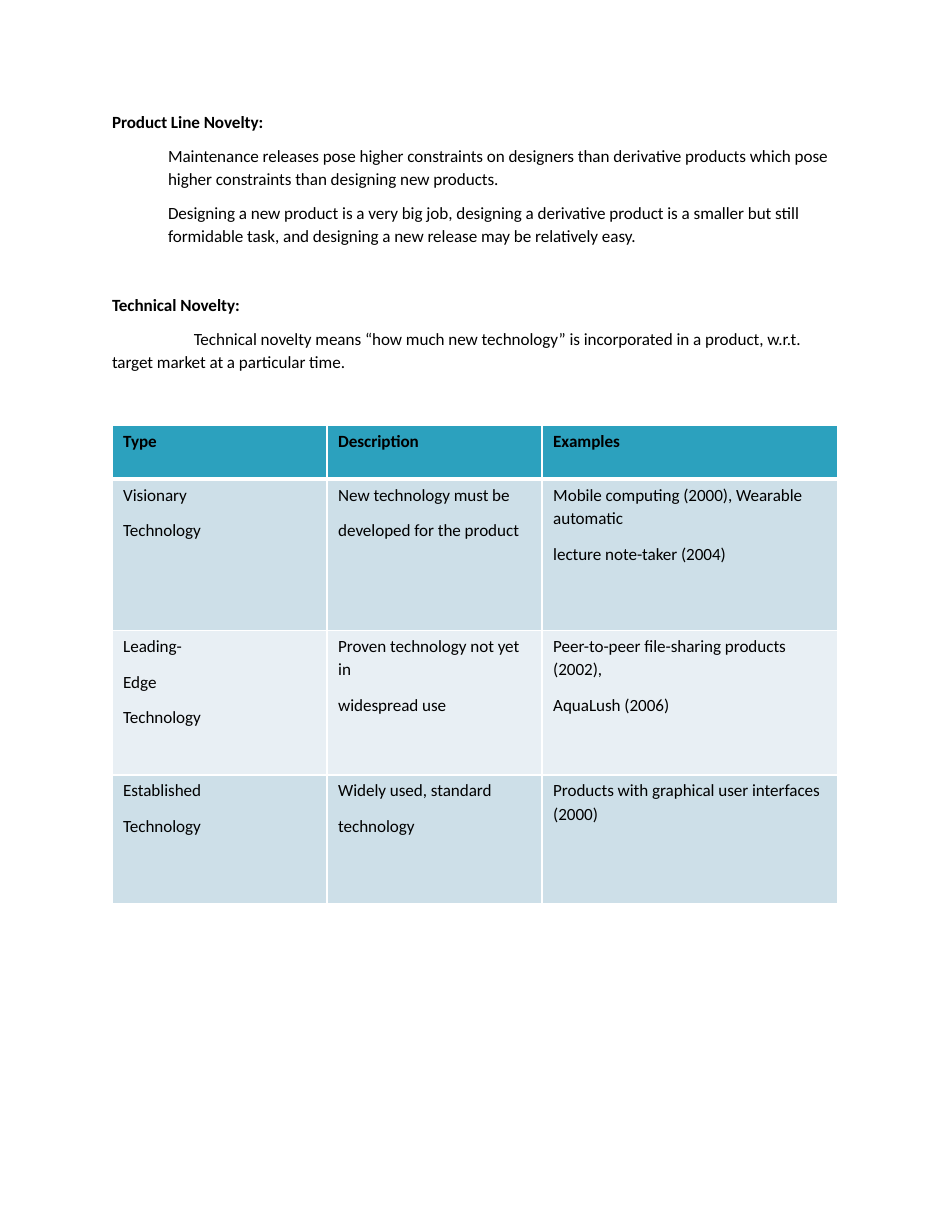
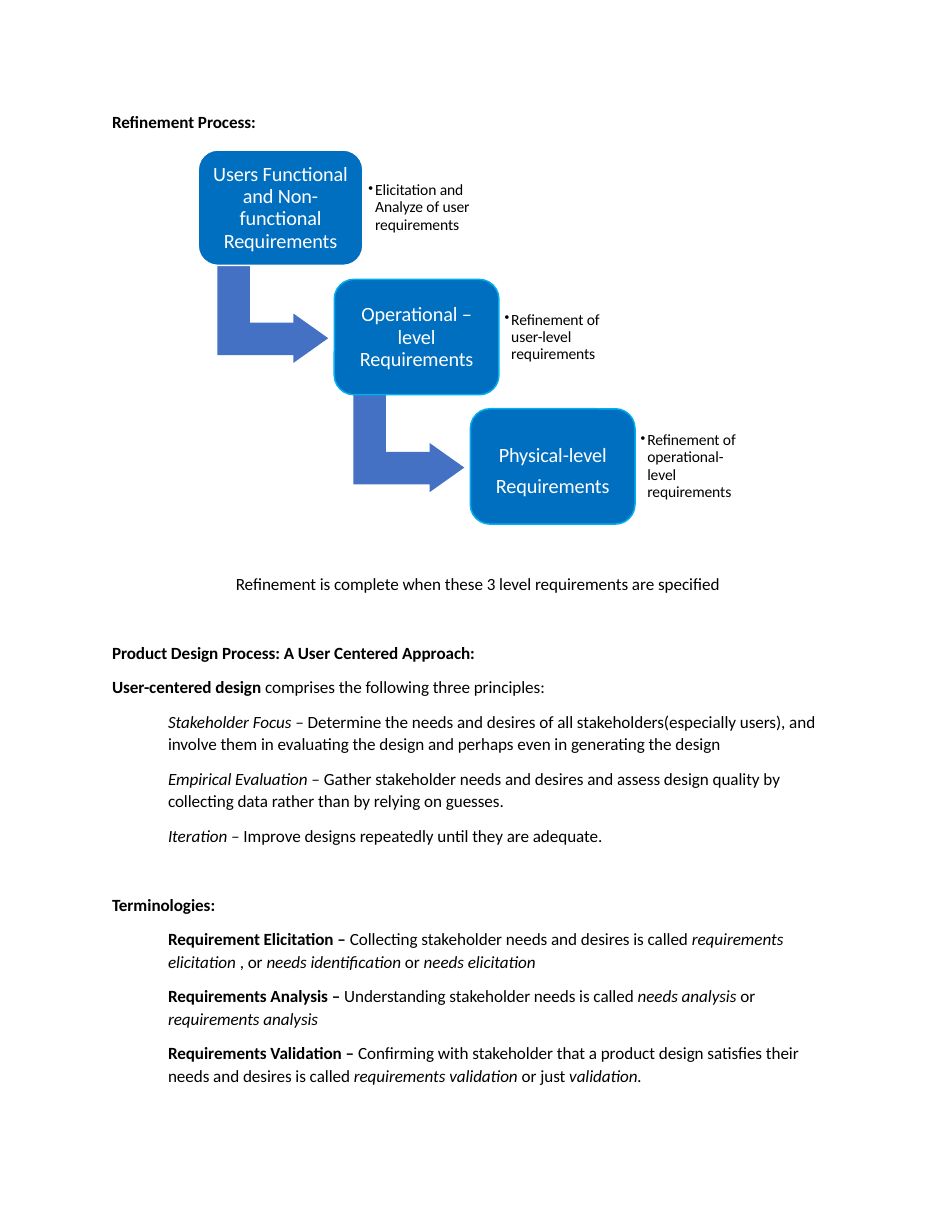
from dataclasses import dataclass
from typing import NamedTuple

from lxml import etree
from pptx import Presentation
from pptx.dml.color import RGBColor
from pptx.enum.shapes import MSO_SHAPE
from pptx.enum.text import MSO_ANCHOR, PP_ALIGN
from pptx.oxml.ns import qn
from pptx.util import Inches, Pt

ROUNDED = MSO_SHAPE.ROUNDED_RECTANGLE
TOP, MIDDLE = MSO_ANCHOR.TOP, MSO_ANCHOR.MIDDLE
LEFT, CENTER = PP_ALIGN.LEFT, PP_ALIGN.CENTER
TITLE_ONLY = 5


@dataclass(frozen=True)
class Theme:
    font: str = "Calibri"
    body_size: float = 11
    step_size: float = 13
    note_size: float = 10
    tracking: str = "-5"
    leading: float = 1.1
    paragraph_gap: float = 7.6
    section_gap: float = 30
    ink: str = "000000"
    white: str = "FFFFFF"
    header_fill: str = "2CA1BE"
    row_fills: tuple[str, str] = ("CDDFE8", "E8EFF4")
    step_fill: str = "006FC0"
    step_edge: str = "00AFEF"
    arrow_fill: str = "4471C4"


THEME = Theme()


class Span(NamedTuple):
    text: str
    bold: bool = False
    italic: bool = False


def bold(text: str) -> Span:
    return Span(text, bold=True)


def italic(text: str) -> Span:
    return Span(text, italic=True)


class Passage(NamedTuple):
    spans: tuple[Span, ...]
    left: float = 0.5
    first_line: float = 0
    gap: float = THEME.paragraph_gap
    align: PP_ALIGN = LEFT


class Step(NamedTuple):
    label: str
    note: str
    edge: str = THEME.step_edge
    leading: float = 14.3


def heading(text: str) -> Passage:
    return Passage((bold(text),), left=0, gap=THEME.section_gap)


NOVELTY = (
    Passage((Span("Maintenance releases pose higher constraints on designers than derivative "
                  "products which pose higher constraints than designing new products."),)),
    Passage((Span("Designing a new product is a very big job, designing a derivative product is "
                  "a smaller but still formidable task, and designing a new release may be "
                  "relatively easy."),)),
    heading("Technical Novelty:"),
    Passage((Span("Technical novelty means “how much new technology” is incorporated in a "
                  "product, w.r.t. target market at a particular time."),),
            left=0, first_line=0.73),
)

TECHNOLOGY_COLUMNS = (1.92, 1.92, 2.64)
TECHNOLOGY_HEIGHTS = (0.48, 1.35, 1.29, 1.15)
TECHNOLOGY_ROWS = (
    ("Type", "Description", "Examples"),
    ("Visionary\nTechnology",
     "New technology must be\ndeveloped for the product",
     "Mobile computing (2000), Wearable automatic\nlecture note-taker (2004)"),
    ("Leading-\nEdge\nTechnology",
     "Proven technology not yet in\nwidespread use",
     "Peer-to-peer file-sharing products (2002),\nAquaLush (2006)"),
    ("Established\nTechnology",
     "Widely used, standard\ntechnology",
     "Products with graphical user interfaces (2000)"),
)

STEPS = (
    Step("Users Functional\vand Non-\vfunctional\vRequirements",
         "Elicitation and\vAnalyze of user\vrequirements", edge=THEME.white),
    Step("Operational –\vlevel\vRequirements",
         "Refinement of\vuser-level\vrequirements"),
    Step("Physical-level\vRequirements",
         "Refinement of\voperational-\vlevel\vrequirements", leading=20),
)
STEP_LEFT, STEP_TOP = 1.77, 1.34
STEP_WIDTH, STEP_HEIGHT = 1.47, 1.03
STEP_SHIFT, STEP_DROP = 1.215, 1.155
# Offsets from the lower left corner of a step box
ELBOW = ((0.17, 0), (0.17, 0.8), (0.85, 0.8), (0.85, 0.87), (1.16, 0.65),
         (0.85, 0.43), (0.85, 0.51), (0.46, 0.51), (0.46, 0))

DESIGN_PROCESS = (
    Passage((Span("Refinement is complete when these 3 level requirements are specified"),),
            left=0.14, align=CENTER),
    heading("Product Design Process: A User Centered Approach:"),
    Passage((bold("User-centered design "),
             Span("comprises the following three principles:")), left=0),
    Passage((italic("Stakeholder Focus – "),
             Span("Determine the needs and desires of all stakeholders(especially users), and "
                  "involve them in evaluating the design and perhaps even in generating the "
                  "design"))),
    Passage((italic("Empirical Evaluation – "),
             Span("Gather stakeholder needs and desires and assess design quality by "
                  "collecting data rather than by relying on guesses."))),
    Passage((italic("Iteration – "),
             Span("Improve designs repeatedly until they are adequate."))),
    heading("Terminologies:"),
    Passage((bold("Requirement Elicitation – "),
             Span("Collecting stakeholder needs and desires is called "),
             italic("requirements elicitation "), Span(", or "),
             italic("needs identification "), Span("or "), italic("needs elicitation"))),
    Passage((bold("Requirements Analysis – "),
             Span("Understanding stakeholder needs is called "),
             italic("needs analysis "), Span("or "), italic("requirements analysis"))),
    Passage((bold("Requirements Validation – "),
             Span("Confirming with stakeholder that a product design satisfies their needs "
                  "and desires is called "),
             italic("requirements validation "), Span("or just "), italic("validation."))),
)


def format_run(run, size: float = THEME.body_size, color: str = THEME.ink,
               is_bold: bool = False, is_italic: bool = False) -> None:
    font = run.font
    font.name, font.size = THEME.font, Pt(size)
    font.bold, font.italic = is_bold, is_italic
    font.color.rgb = RGBColor.from_string(color)
    run._r.get_or_add_rPr().set("spc", THEME.tracking)


def prepare_frame(frame, anchor=TOP) -> None:
    frame.word_wrap = True
    frame.vertical_anchor = anchor
    frame.margin_left = frame.margin_top = frame.margin_right = frame.margin_bottom = 0


def indent(paragraph, left: float, first_line: float) -> None:
    properties = paragraph._p.get_or_add_pPr()
    properties.set("marL", str(Inches(left)))
    properties.set("indent", str(Inches(first_line)))


def add_frame(slide, left: float, top: float, width: float, height: float, anchor=TOP):
    box = slide.shapes.add_textbox(Inches(left), Inches(top), Inches(width), Inches(height))
    prepare_frame(box.text_frame, anchor)
    return box.text_frame


def add_titled_slide(deck, title: str):
    slide = deck.slides.add_slide(deck.slide_layouts[TITLE_ONLY])
    placeholder = slide.shapes.title
    placeholder.left, placeholder.top = Inches(1), Inches(0.99)
    placeholder.width, placeholder.height = Inches(6.49), Inches(0.2)
    frame = placeholder.text_frame
    frame.text = title
    prepare_frame(frame)
    paragraph = frame.paragraphs[0]
    paragraph.alignment, paragraph.line_spacing = LEFT, 1.0
    format_run(paragraph.runs[0], is_bold=True)
    return slide


def add_passages(slide, passages: tuple[Passage, ...], top: float,
                 width: float, height: float) -> None:
    frame = add_frame(slide, 1, top, width, height)
    for number, passage in enumerate(passages):
        paragraph = frame.add_paragraph() if number else frame.paragraphs[0]
        indent(paragraph, passage.left, passage.first_line)
        paragraph.alignment = passage.align
        paragraph.line_spacing = THEME.leading
        if number:
            paragraph.space_before = Pt(passage.gap)
        for span in passage.spans:
            run = paragraph.add_run()
            run.text = span.text
            format_run(run, is_bold=span.bold, is_italic=span.italic)


def set_borders(cell, top: float, bottom: float) -> None:
    """Draw white borders; widths in points, the sides always one point."""
    properties = cell._tc.get_or_add_tcPr()
    widths = {"a:lnL": 1, "a:lnR": 1, "a:lnT": top, "a:lnB": bottom}
    for position, (tag, width) in enumerate(widths.items()):
        line = etree.Element(qn(tag), w=str(Pt(width)))
        fill = etree.SubElement(line, qn("a:solidFill"))
        etree.SubElement(fill, qn("a:srgbClr"), val=THEME.white)
        properties.insert(position, line)


def add_technology_table(slide) -> None:
    table = slide.shapes.add_table(
        len(TECHNOLOGY_ROWS), len(TECHNOLOGY_COLUMNS), Inches(1), Inches(3.8),
        Inches(sum(TECHNOLOGY_COLUMNS)), Inches(sum(TECHNOLOGY_HEIGHTS))).table
    for column, width in zip(table.columns, TECHNOLOGY_COLUMNS):
        column.width = Inches(width)
    for row, height in zip(table.rows, TECHNOLOGY_HEIGHTS):
        row.height = Inches(height)
    for r, texts in enumerate(TECHNOLOGY_ROWS):
        is_header = r == 0
        color = THEME.header_fill if is_header else THEME.row_fills[(r - 1) % 2]
        for c, text in enumerate(texts):
            cell = table.cell(r, c)
            cell.text_frame.text = text
            cell.margin_left = cell.margin_right = Inches(0.1)
            cell.margin_top, cell.margin_bottom = Inches(0.03), 0
            cell.fill.solid()
            cell.fill.fore_color.rgb = RGBColor.from_string(color)
            set_borders(cell, top=3 if r == 1 else 1, bottom=3 if is_header else 1)
            for number, paragraph in enumerate(cell.text_frame.paragraphs):
                paragraph.line_spacing = THEME.leading
                if number:
                    paragraph.space_before = Pt(8)
                for run in paragraph.runs:
                    format_run(run, is_bold=is_header)


def paint(shape, fill: str) -> None:
    shape.shadow.inherit = False
    shape.fill.solid()
    shape.fill.fore_color.rgb = RGBColor.from_string(fill)


def add_elbow_arrow(slide, left: float, top: float) -> None:
    points = [(Inches(left + x), Inches(top + y)) for x, y in ELBOW]
    builder = slide.shapes.build_freeform(*points[0])
    builder.add_line_segments(points[1:], close=True)
    arrow = builder.convert_to_shape()
    paint(arrow, THEME.arrow_fill)
    arrow.line.fill.background()


def add_step_box(slide, step: Step, left: float, top: float) -> None:
    box = slide.shapes.add_shape(ROUNDED, Inches(left), Inches(top),
                                 Inches(STEP_WIDTH), Inches(STEP_HEIGHT))
    box.adjustments[0] = 0.17
    paint(box, THEME.step_fill)
    box.line.color.rgb = RGBColor.from_string(step.edge)
    box.line.width = Pt(0.96)
    prepare_frame(box.text_frame, MIDDLE)
    paragraph = box.text_frame.paragraphs[0]
    paragraph.text = step.label
    paragraph.alignment, paragraph.line_spacing = CENTER, Pt(step.leading)
    for run in paragraph.runs:
        format_run(run, THEME.step_size, THEME.white)


def add_step_note(slide, note: str, left: float, top: float) -> None:
    frame = add_frame(slide, left, top, 1, STEP_HEIGHT, MIDDLE)
    paragraph = frame.paragraphs[0]
    paragraph.text = note
    paragraph.line_spacing = 0.92
    indent(paragraph, 0.08, -0.06)
    properties = paragraph._p.get_or_add_pPr()
    etree.SubElement(properties, qn("a:buSzPct"), val="90000")
    etree.SubElement(properties, qn("a:buChar"), char="•")
    for run in paragraph.runs:
        format_run(run, THEME.note_size)


def add_refinement_steps(slide) -> None:
    for number, step in enumerate(STEPS):
        left = STEP_LEFT + number * STEP_SHIFT
        top = STEP_TOP + number * STEP_DROP
        if step is not STEPS[-1]:
            add_elbow_arrow(slide, left, top + STEP_HEIGHT)
        add_step_box(slide, step, left, top)
        add_step_note(slide, step.note, left + STEP_WIDTH + 0.03, top)


def main() -> None:
    deck = Presentation()
    deck.slide_width, deck.slide_height = Inches(8.5), Inches(11)

    novelty = add_titled_slide(deck, "Product Line Novelty:")
    add_passages(novelty, NOVELTY, top=1.28, width=6.49, height=2.08)
    add_technology_table(novelty)

    refinement = add_titled_slide(deck, "Refinement Process:")
    add_refinement_steps(refinement)
    add_passages(refinement, DESIGN_PROCESS, top=5.1, width=6.39, height=4.66)

    deck.save("out.pptx")


if __name__ == "__main__":
    main()
